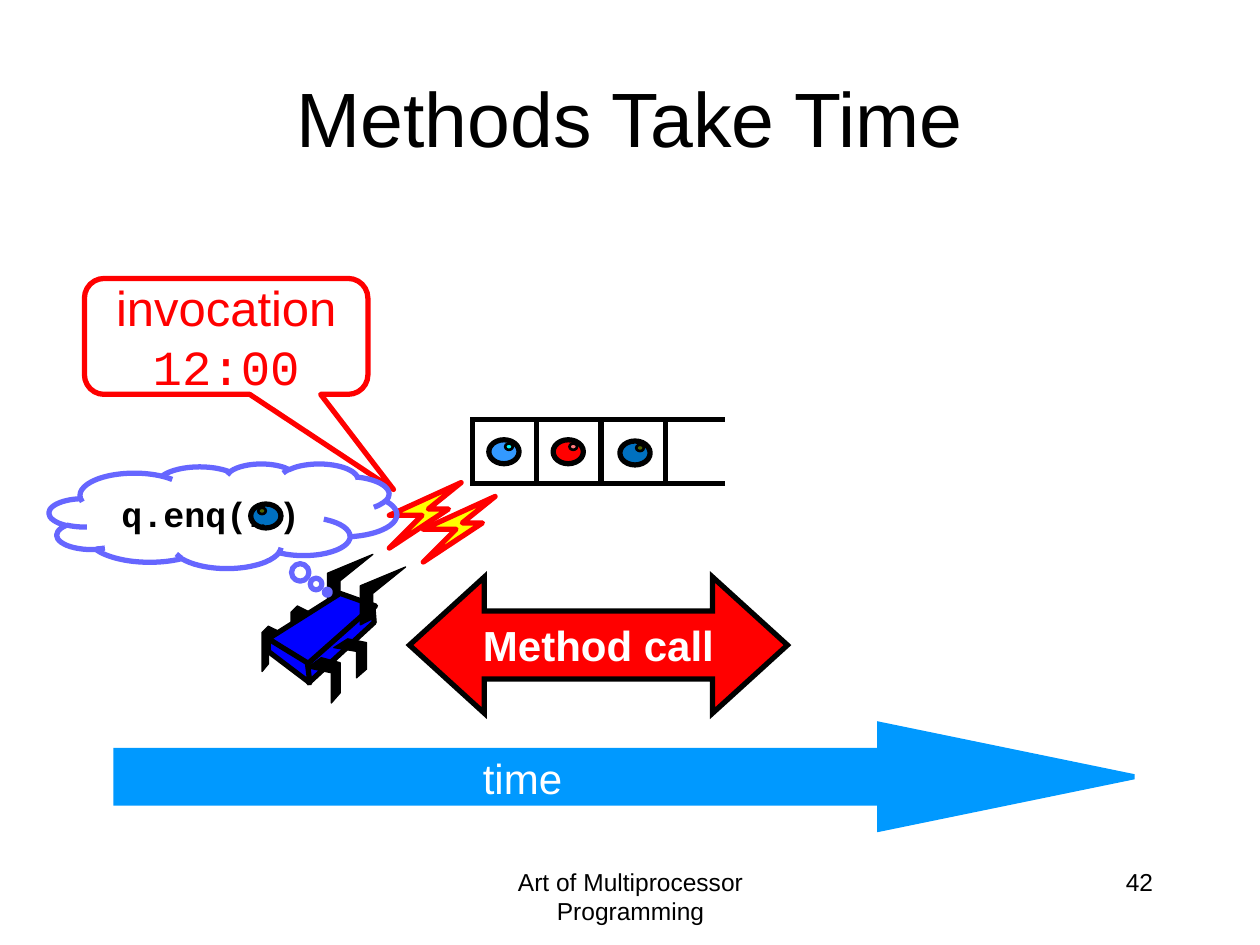
from dataclasses import dataclass
from typing import NamedTuple, Optional

from lxml.etree import SubElement
from pptx import Presentation
from pptx.dml.color import RGBColor
from pptx.enum.shapes import MSO_CONNECTOR, MSO_SHAPE as Preset
from pptx.enum.text import MSO_ANCHOR as Anchor, PP_ALIGN as Align
from pptx.oxml.ns import qn
from pptx.util import Pt

PX = 9144  # EMU per px, 100 px to the inch


@dataclass(frozen=True)
class Theme:
    black: str = "000000"
    white: str = "FFFFFF"
    red: str = "FF0000"
    yellow: str = "FFFF00"
    body_blue: str = "0000FF"
    time_blue: str = "0099FF"
    cloud: str = "6666FF"
    item_blue: str = "0070C0"
    item_glint: str = "4C6600"
    sans: str = "Arial"
    mono: str = "Courier New"
    title: int = 44
    callout: int = 28
    label: int = 24
    code: int = 20
    footer: int = 14
    dots: int = 10
    thick: float = 3
    medium: float = 1.5
    thin: float = 0.75


THEME = Theme()


class Box(NamedTuple):
    left: int
    top: int
    width: int
    height: int

    def emu(self) -> list[int]:
        return [length * PX for length in self]


class Span(NamedTuple):
    text: str
    size: int
    color: str
    font: str = THEME.sans
    bold: bool = False


class Ball(NamedTuple):
    left: int
    top: int
    fill: str
    glint: str


class Part(NamedTuple):
    """A closed outline, its points relative to left and top."""
    left: int
    top: int
    points: list[tuple[int, int]]
    fill: str = THEME.black
    line: str = THEME.black
    weight: float = THEME.thin


BOLT = [(0, 52), (26, 26), (0, 26), (57, 0), (31, 21), (47, 21)]
ANTENNA = [(0, 46), (10, 41), (10, 21), (36, 0), (0, 15)]
LEFT_LEG = [(15, 5), (5, 0), (0, 5), (0, 36), (5, 30), (5, 10), (15, 15)]
FRONT_LEG = [(11, 0), (0, 8), (19, 12), (19, 36), (26, 28), (26, 4)]
REAR_LEG = [(11, 0), (0, 7), (18, 10), (18, 31), (26, 24), (26, 3)]
BACK = [(57, 0), (0, 36), (32, 57), (85, 10)]
RIGHT_SIDE = [(52, 0), (0, 46), (1, 61), (53, 13)]
LEFT_SIDE = [(0, 0), (0, 10), (33, 35), (31, 19)]

BOLT_STYLE = (THEME.yellow, THEME.red, THEME.thick)
BODY_STYLE = (THEME.body_blue, THEME.black, THEME.thick)
THREAD_PARTS = [
    Part(309, 383, BOLT, *BOLT_STYLE),
    Part(260, 440, ANTENNA),
    Part(208, 497, LEFT_LEG),
    Part(231, 481, LEFT_LEG),
    Part(213, 471, BACK, *BODY_STYLE),
    Part(244, 481, RIGHT_SIDE, *BODY_STYLE),
    Part(213, 507, LEFT_SIDE, *BODY_STYLE),
    Part(244, 522, FRONT_LEG),
    Part(265, 507, REAR_LEG),
    Part(286, 450, ANTENNA),
    Part(336, 394, BOLT, *BOLT_STYLE),
]

CELL = 51
QUEUE_LEFT, QUEUE_TOP, QUEUE_CELLS = 375, 333, 3
QUEUE_BALLS = [
    Ball(388, 349, "3399FF", "00FFFF"),
    Ball(439, 349, THEME.red, "FF7C80"),
    Ball(492, 350, THEME.item_blue, THEME.item_glint),
]
CALL_ARGUMENT = Ball(199, 400, THEME.item_blue, THEME.item_glint)


def paint(shape, fill: Optional[str], line: str, weight: float) -> None:
    shape.shadow.inherit = False
    if fill is None:
        shape.fill.background()
    else:
        shape.fill.solid()
        shape.fill.fore_color.rgb = RGBColor.from_string(fill)
    shape.line.color.rgb = RGBColor.from_string(line)
    shape.line.width = Pt(weight)


def write(frame, spans: list[Span], align: Align = Align.CENTER,
          anchor: Anchor = Anchor.MIDDLE, wrap: bool = True) -> None:
    frame.word_wrap = wrap
    frame.vertical_anchor = anchor
    para = frame.paragraphs[0]
    para.alignment = align
    for span in spans:
        run = para.add_run()
        run.text = span.text
        font = run.font
        font.name, font.size, font.bold = span.font, Pt(span.size), span.bold
        font.color.rgb = RGBColor.from_string(span.color)


def add_preset(page, kind: Preset, box: Box, fill: Optional[str], line: str,
               weight: float = THEME.thick, adjust: tuple[float, ...] = (),
               sharp: bool = False):
    shape = page.shapes.add_shape(kind, *box.emu())
    for index, value in enumerate(adjust):
        shape.adjustments[index] = value
    paint(shape, fill, line, weight)
    if sharp:
        outline = shape._element.spPr.find(qn("a:ln"))
        SubElement(outline, qn("a:miter"), lim="800000")
    return shape


def add_label(page, box: Box, span: Span, align: Align, wrap: bool = True) -> None:
    label = page.shapes.add_textbox(*box.emu())
    write(label.text_frame, [span], align, Anchor.TOP, wrap)


def add_ball(page, ball: Ball) -> None:
    add_preset(page, Preset.OVAL, Box(ball.left, ball.top, 24, 19),
               ball.fill, THEME.black)
    add_preset(page, Preset.OVAL, Box(ball.left + 13 if ball != CALL_ARGUMENT
                                      else ball.left + 6, ball.top + 3, 6, 5),
               ball.glint, THEME.black, THEME.medium)


def add_part(page, part: Part) -> None:
    points = [(part.left + x, part.top + y) for x, y in part.points]
    builder = page.shapes.build_freeform(*points[0], scale=PX)
    builder.add_line_segments(points[1:], close=True)
    paint(builder.convert_to_shape(), part.fill, part.line, part.weight)


def add_rule(page, left: int, right: int, y: int) -> None:
    rule = page.shapes.add_connector(
        MSO_CONNECTOR.STRAIGHT, left * PX, y * PX, right * PX, y * PX)
    rule.line.color.rgb = RGBColor.from_string(THEME.black)
    rule.line.width = Pt(THEME.thick)
    SubElement(rule._element.spPr, qn("a:effectLst"))


def add_queue(page) -> None:
    for index in range(QUEUE_CELLS):
        cell = Box(QUEUE_LEFT + index * CELL, QUEUE_TOP, CELL, CELL)
        add_preset(page, Preset.RECTANGLE, cell, None, THEME.black, sharp=True)
    for y in (QUEUE_TOP, QUEUE_TOP + CELL):
        add_rule(page, 524, 575, y)
    for ball in QUEUE_BALLS:
        add_ball(page, ball)


def main() -> None:
    deck = Presentation()
    deck.slide_width, deck.slide_height = 1000 * PX, 750 * PX
    page = deck.slides.add_slide(deck.slide_layouts[5])

    title = page.shapes.title
    title.left, title.top, title.width, title.height = Box(50, 30, 900, 125).emu()
    write(title.text_frame, [Span("Methods Take Time", THEME.title, THEME.black)])
    add_label(page, Box(342, 683, 317, 50), Span(
        "Art of Multiprocessor Programming", THEME.footer, THEME.black), Align.CENTER)
    add_label(page, Box(717, 683, 208, 50),
              Span("42", THEME.footer, THEME.black), Align.RIGHT)

    add_queue(page)
    method = add_preset(page, Preset.LEFT_RIGHT_ARROW, Box(325, 458, 300, 108),
                        THEME.red, THEME.black, adjust=(0.5, 0.55), sharp=True)
    write(method.text_frame,
          [Span("Method call", THEME.label, THEME.white, bold=True)], wrap=False)

    invocation = add_preset(page, Preset.ROUNDED_RECTANGULAR_CALLOUT,
                            Box(67, 221, 225, 92), None, THEME.red,
                            adjust=(0.59, 1.32, 0.17))
    write(invocation.text_frame, [
        Span("invocation ", THEME.callout, THEME.red),
        Span("12:00", THEME.callout, THEME.red, THEME.mono)])
    for part in THREAD_PARTS:
        add_part(page, part)
    add_ball(page, CALL_ARGUMENT)

    add_preset(page, Preset.RIGHT_ARROW, Box(92, 575, 808, 83), THEME.time_blue,
               THEME.time_blue, adjust=(0.5, 2.43), sharp=True)
    add_label(page, Box(372, 592, 84, 51),
              Span("time", THEME.label, THEME.white), Align.RIGHT, wrap=False)

    cloud = add_preset(page, Preset.CLOUD_CALLOUT, Box(39, 368, 276, 83), None,
                       THEME.cloud, adjust=(0.3, 0.73))
    write(cloud.text_frame, [
        Span(text, size, THEME.black, THEME.mono, True)
        for text, size in (("q.enq(", THEME.code), ("...", THEME.dots),
                           (")", THEME.code))])
    deck.save("out.pptx")


if __name__ == "__main__":
    main()
